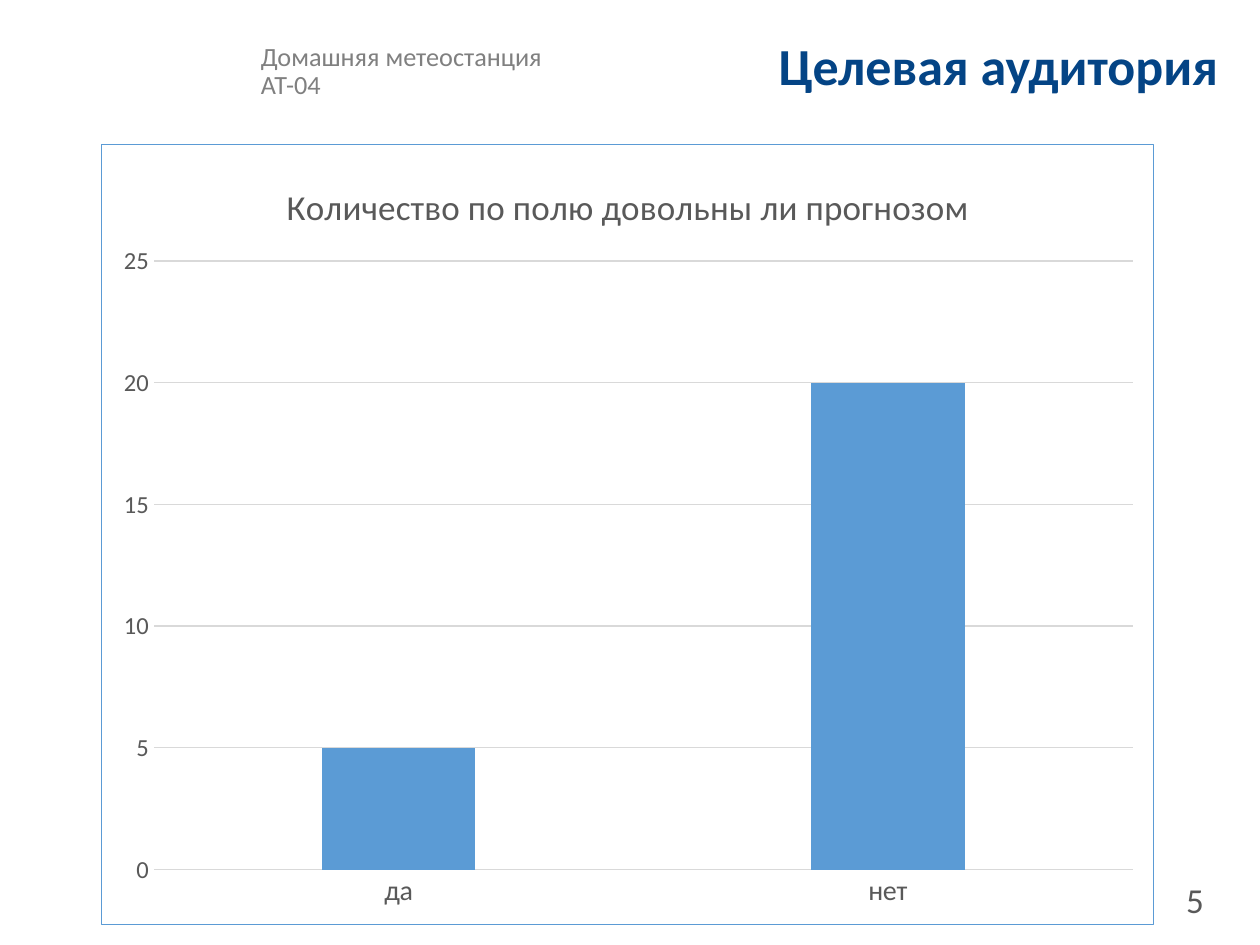
from lxml.etree import SubElement
from pptx import Presentation
from pptx.chart.data import CategoryChartData
from pptx.dml.color import RGBColor
from pptx.enum.chart import XL_CHART_TYPE, XL_TICK_MARK
from pptx.enum.text import MSO_ANCHOR, PP_ALIGN
from pptx.oxml import parse_xml
from pptx.oxml.ns import nsdecls, qn
from pptx.util import Pt

COLORS = {"heading": "044485", "project": "808080", "label": "595959",
          "grid": "D9D9D9", "bar": "5B9BD5"}
FONT = "Calibri"


def style(font, size, color, bold=False):
    font.name = FONT
    font.size = Pt(size)
    font.bold = bold
    font.color.rgb = RGBColor.from_string(COLORS[color])


def place(element, position, **fractions):
    for layout in element.findall(qn("c:layout")):
        element.remove(layout)
    layout = parse_xml(f"<c:layout {nsdecls('c')}/>")
    element.insert(position, layout)
    manual = SubElement(layout, qn("c:manualLayout"))
    if "w" in fractions:
        SubElement(manual, qn("c:layoutTarget")).set("val", "inner")
    for axis in "xy":
        SubElement(manual, qn(f"c:{axis}Mode")).set("val", "edge")
    for key, value in fractions.items():
        SubElement(manual, qn(f"c:{key}")).set("val", str(value))


deck = Presentation()
deck.slide_width, deck.slide_height = Pt(720), Pt(540)
slide = deck.slides.add_slide(deck.slide_layouts[6])

captions = [
    ("Целевая аудитория", (142, 18.5, 561.5, 42), 29.7, "heading", True,
     PP_ALIGN.RIGHT, MSO_ANCHOR.MIDDLE, 0.9),
    ("Домашняя метеостанция\vАТ-04", (142, 21.5, 200, 42), 15, "project", False,
     PP_ALIGN.LEFT, MSO_ANCHOR.TOP, 0.9),
    ("5", (533, 499.5, 162, 29), 20, "label", False,
     PP_ALIGN.RIGHT, MSO_ANCHOR.MIDDLE, 1.0),
]
for text, bounds, size, color, bold, align, anchor, spacing in captions:
    frame = slide.shapes.add_textbox(*map(Pt, bounds)).text_frame
    frame.word_wrap = True
    frame.vertical_anchor = anchor
    frame.text = text
    paragraph = frame.paragraphs[0]
    paragraph.alignment = align
    paragraph.line_spacing = spacing
    for run in paragraph.runs:
        style(run.font, size, color, bold)

answers = CategoryChartData()
answers.categories = ["да", "нет"]
answers.add_series("Series 1", (5, 20))
chart = slide.shapes.add_chart(XL_CHART_TYPE.COLUMN_CLUSTERED, Pt(57.6), Pt(82),
                               Pt(602), Pt(446.5), answers).chart
chart.font.name = FONT
chart.font.size = Pt(10)
chart.has_legend = False

chart.has_title = True
heading = chart.chart_title.text_frame
heading.text = "Количество по полю довольны ли прогнозом"
style(heading.paragraphs[0].runs[0].font, 20, "label")
place(chart.chart_title._element, 1, x=0.17, y=0.04)

plot = chart.plots[0]
plot.gap_width = 219
plot.overlap = -27
plot.vary_by_categories = False
bars = plot.series[0].format.fill
bars.solid()
bars.fore_color.rgb = RGBColor.from_string(COLORS["bar"])
place(chart._chartSpace.chart.plotArea, 0, x=0.05, y=0.15, w=0.93, h=0.78)

for axis, size in ((chart.category_axis, 16), (chart.value_axis, 14)):
    axis.major_tick_mark = axis.minor_tick_mark = XL_TICK_MARK.NONE
    style(axis.tick_labels.font, size, "label")

values = chart.value_axis
values.minimum_scale, values.maximum_scale, values.major_unit = 0, 25, 5
values.format.line.fill.background()
for line in (chart.category_axis.format.line, values.major_gridlines.format.line):
    line.color.rgb = RGBColor.from_string(COLORS["grid"])
    line.width = Pt(0.75)

border = parse_xml(
    f'<c:spPr {nsdecls("c", "a")}><a:noFill/><a:ln w="{int(Pt(0.75))}"><a:solidFill>'
    f'<a:srgbClr val="{COLORS["bar"]}"/></a:solidFill></a:ln></c:spPr>')
chart._chartSpace.chart.addnext(border)

deck.save("out.pptx")
